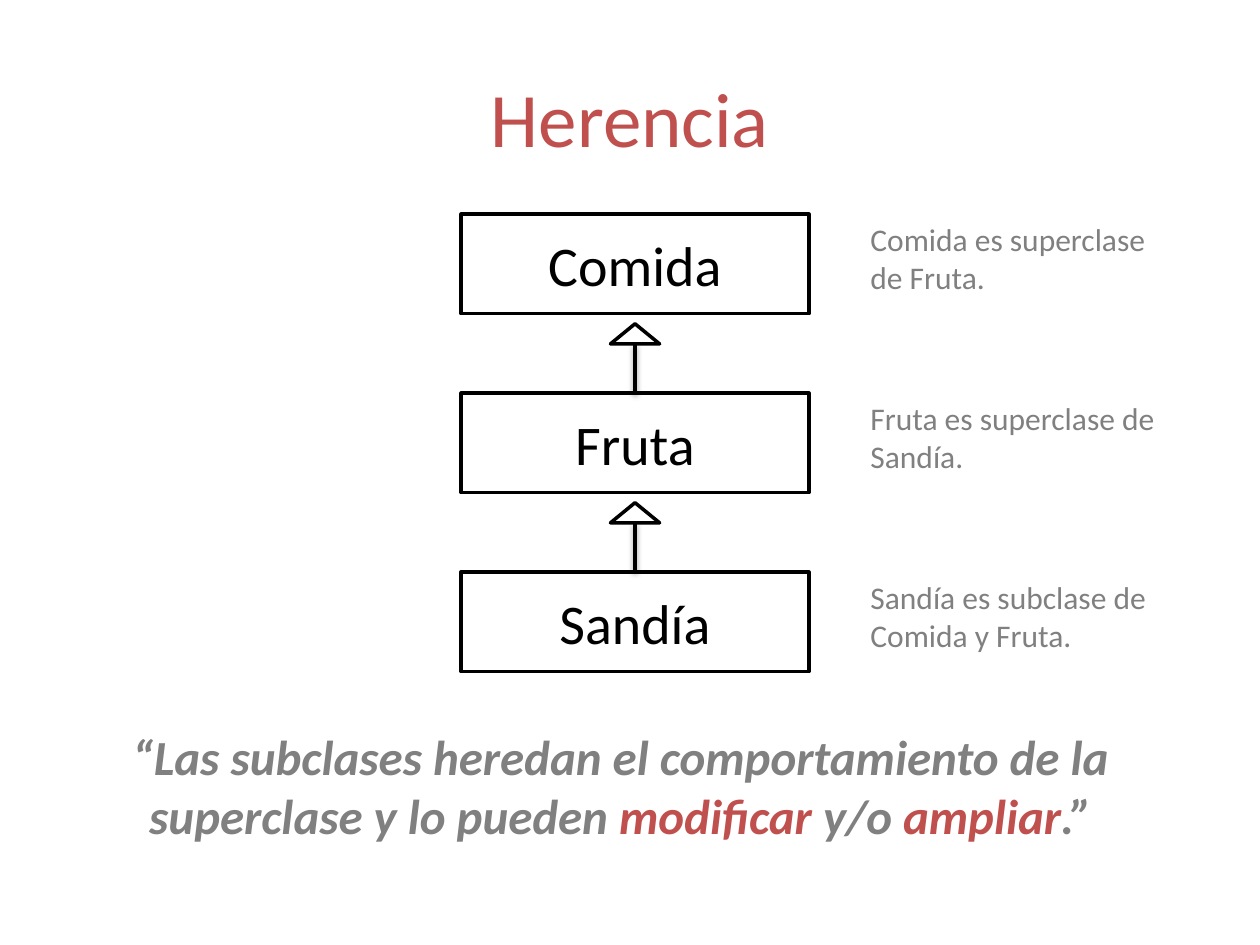
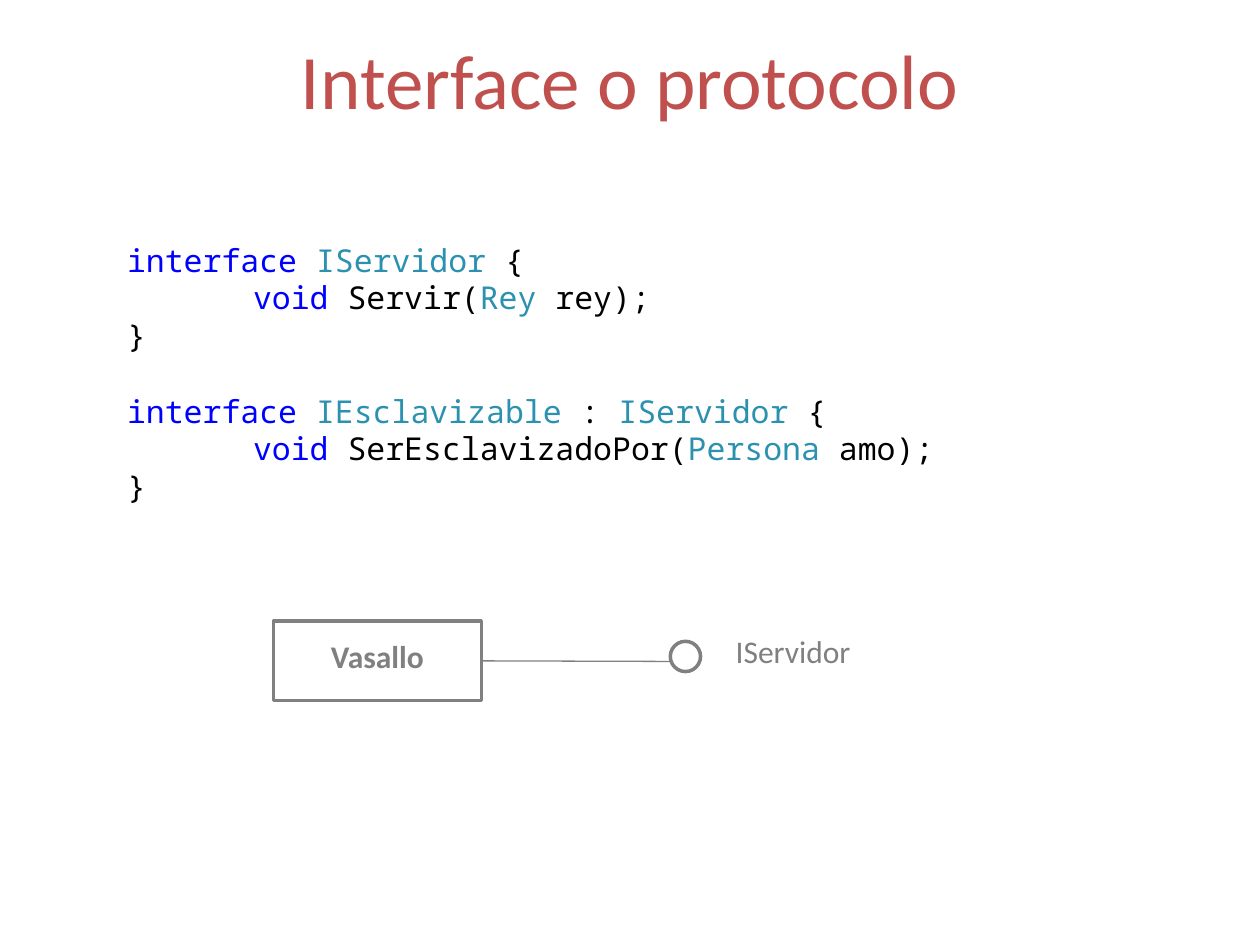
from pptx import Presentation
from pptx.dml.color import RGBColor
from pptx.enum import shapes, text
from pptx.oxml import parse_xml
from pptx.oxml.ns import nsdecls
from pptx.util import Inches, Pt

RED = RGBColor(0xC0, 0x50, 0x4D)
GRAY = RGBColor(0x80, 0x80, 0x80)
BLACK = RGBColor(0, 0, 0)
WHITE = RGBColor(255, 255, 255)
BLUE = RGBColor(0, 0, 255)
TEAL = RGBColor(0x2B, 0x91, 0xAF)
SANS, MONO = "Calibri", "Noto Sans Mono"
CENTER = text.PP_ALIGN.CENTER
MIDDLE = text.MSO_ANCHOR.MIDDLE
KIND = shapes.MSO_SHAPE

# Content: class name and note, from the top class down
CLASSES = [
    ("Comida", "Comida es superclase de Fruta."),
    ("Fruta", "Fruta es superclase de Sandía."),
    ("Sandía", "Sandía es subclase de Comida y Fruta."),
]
QUOTE = [
    ("“Las subclases heredan el comportamiento de la superclase y lo pueden ", GRAY),
    ("modificar", RED), (" y/o ", GRAY), ("ampliar", RED), (".”", GRAY),
]
# Content: code lines as (indent, space before in points, runs)
CODE = [
    (0, 0, [("interface", BLUE), (" ", BLACK), ("IServidor", TEAL), (" {", BLACK)]),
    (1, 0, [("void", BLUE), (" Servir(", BLACK), ("Rey", TEAL), (" rey);", BLACK)]),
    (0, 0, [("}", BLACK)]),
    (0, 21.5, [("interface", BLUE), (" ", BLACK), ("IEsclavizable", TEAL),
               (" : ", BLACK), ("IServidor", TEAL), (" {", BLACK)]),
    (1, 0, [("void", BLUE), (" SerEsclavizadoPor(", BLACK), ("Persona", TEAL),
            (" amo);", BLACK)]),
    (0, 0, [("}", BLACK)]),
]

SHADOW = ('<a:outerShdw blurRad="39370" dist="20320" dir="5400000" rotWithShape="0">'
          '<a:srgbClr val="000000"><a:alpha val="38000"/></a:srgbClr></a:outerShdw>')


def write(par, runs, size, font=SANS, **form):
    """Add coloured runs to a paragraph; form holds further font values."""
    for words, color in runs:
        run = par.add_run()
        run.text = words
        run.font.color.rgb = color
        for key, val in dict(form, size=Pt(size), name=font).items():
            setattr(run.font, key, val)


def start(deck, title, top):
    slide = deck.slides.add_slide(deck.slide_layouts[5])
    head = slide.shapes.title
    place = dict(left=0.5, top=top, width=9, height=1.25)
    for key, val in place.items():
        setattr(head, key, Inches(val))
    head.text_frame.vertical_anchor = MIDDLE
    par = head.text_frame.paragraphs[0]
    par.alignment = CENTER
    write(par, [(title, RED)], 44)
    return slide


def label(slide, at, runs, size, align=None, **form):
    frame = slide.shapes.add_textbox(*map(Inches, at)).text_frame
    frame.word_wrap = True
    par = frame.paragraphs[0]
    par.alignment = align
    write(par, runs, size, **form)
    return frame


def shape(slide, kind, at, line, fill=WHITE, words="", size=18, color=BLACK):
    item = slide.shapes.add_shape(kind, *map(Inches, at))
    item.shadow.inherit = False
    if fill is None:
        item.fill.background()
    else:
        item.fill.solid()
        item.fill.fore_color.rgb = fill
    item.line.color.rgb = line
    item.line.width = Pt(2)
    if words:
        item.text_frame.vertical_anchor = MIDDLE
        par = item.text_frame.paragraphs[0]
        par.alignment = CENTER
        write(par, [(words, color)], size)
    return item


def join(slide, box, side, end, color, width, effect=""):
    """Draw a line from the middle of a box side to a point."""
    x, y = map(Inches, end)
    line = slide.shapes.add_connector(shapes.MSO_CONNECTOR.STRAIGHT, x, y, x, y)
    line.begin_connect(box, side)
    line.line.color.rgb = color
    line.line.width = Pt(width)
    line._element.spPr.append(parse_xml(
        f"<a:effectLst {nsdecls('a')}>{effect}</a:effectLst>"))


def heritage(deck):
    slide = start(deck, "Herencia", 0.3)
    label(slide, (0.28, 5.72, 9.29, 1.04), QUOTE, 28, CENTER, bold=True, italic=True)

    # Class boxes, their notes and the arrow up to the superclass
    left, top, wide, high, step = 3.66, 1.7, 2.76, 0.79, 1.42
    mid = left + wide / 2
    tip_w, tip_h, gap = 0.39, 0.16, 0.08
    for row, (name, note) in enumerate(CLASSES):
        y = top + row * step
        box = shape(slide, KIND.RECTANGLE, (left, y, wide, high), BLACK,
                    words=name, size=32)
        label(slide, (6.81, y, 2.52, 0.71), [(note, GRAY)], 18)
        if row:
            tip = y - step + high + gap
            shape(slide, KIND.ISOSCELES_TRIANGLE,
                  (mid - tip_w / 2, tip, tip_w, tip_h), BLACK)
            join(slide, box, 0, (mid, tip + tip_h), BLACK, 2, SHADOW)


def protocol(deck):
    slide = start(deck, "Interface o protocolo", 0)

    # Code
    frame = label(slide, (0.91, 1.86, 8.82, 2.22), [], 18)
    for row, (dent, gap, runs) in enumerate(CODE):
        par = frame.add_paragraph() if row else frame.paragraphs[0]
        par.space_before = Pt(gap)
        par._p.get_or_add_pPr().set("marL", str(Inches(dent)))
        write(par, runs, 18, MONO)

    # Class with its interface
    wide, high = 1.65, 0.63
    name = shape(slide, KIND.RECTANGLE, (5.47, 4.85, wide, high), WHITE,
                 words="IServidor", color=GRAY)
    for side in ("left", "top", "right", "bottom"):
        setattr(name.text_frame, "margin_" + side, 0)
    box = shape(slide, KIND.RECTANGLE, (2.17, 4.93, wide, high), GRAY, fill=None)
    join(slide, box, 3, (5.47, 5.25), GRAY, 0.75)
    shape(slide, KIND.OVAL, (5.32, 5.09, 0.24, 0.24), GRAY)
    label(slide, (2.17, 5.01, wide, 0.4), [("Vasallo", GRAY)], 18, CENTER, bold=True)


def main():
    deck = Presentation()
    deck.slide_width, deck.slide_height = Inches(10), Inches(7.5)
    heritage(deck)
    protocol(deck)
    deck.save("out.pptx")


if __name__ == "__main__":
    main()
